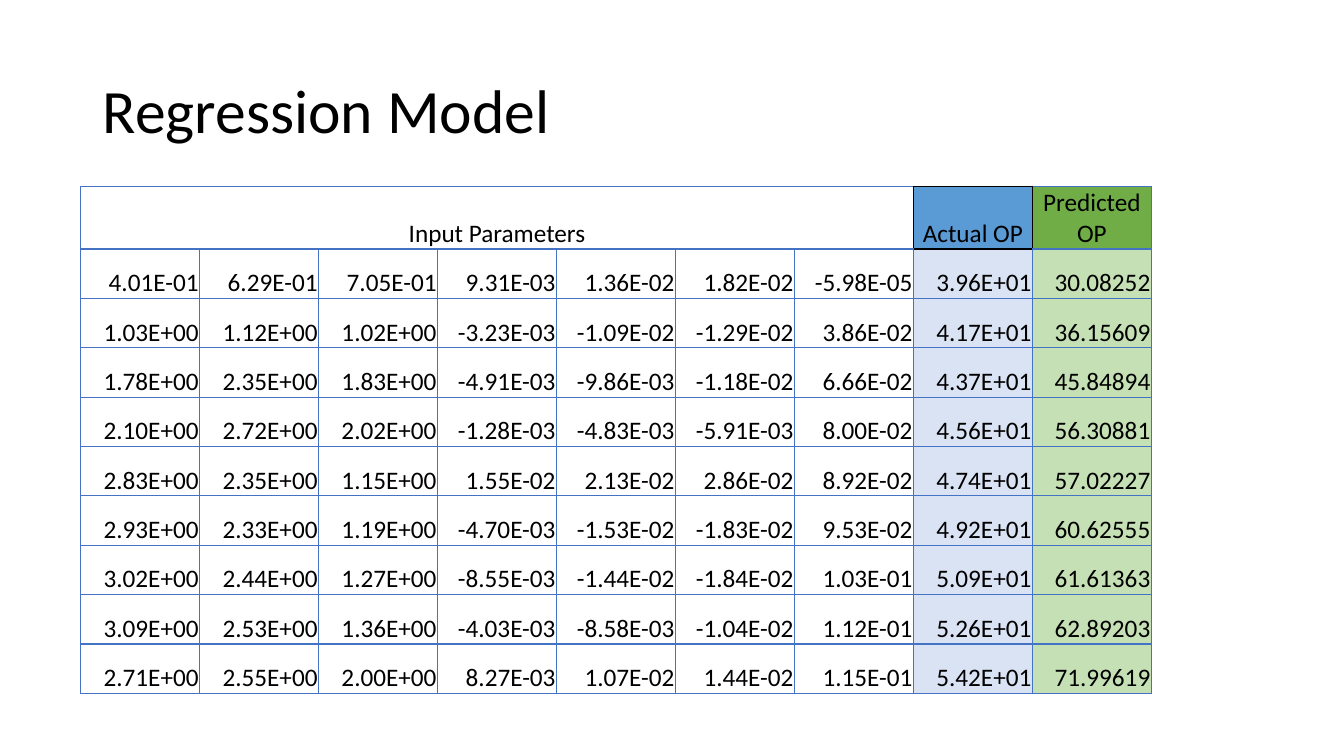
from dataclasses import dataclass

from lxml import etree
from pptx import Presentation
from pptx import util as u
from pptx.dml import color
from pptx.enum import text
from pptx.oxml import ns

PX = 9144
FONT = "Calibri"
COLORS = {
    "ink": "000000",
    "grid": "4472C4",
    "actual_head": "5B9BD5",
    "predicted_head": "70AD47",
    "actual": "DAE3F3",
    "predicted": "C5E0B4",
}
INPUTS = 7
COLUMN_WIDTH, HEADER_HEIGHT, SAMPLE_HEIGHT = 118, 48, 49
SAMPLES = [line.split() for line in """
4.01E-01 6.29E-01 7.05E-01 9.31E-03 1.36E-02 1.82E-02 -5.98E-05 3.96E+01 30.08252
1.03E+00 1.12E+00 1.02E+00 -3.23E-03 -1.09E-02 -1.29E-02 3.86E-02 4.17E+01 36.15609
1.78E+00 2.35E+00 1.83E+00 -4.91E-03 -9.86E-03 -1.18E-02 6.66E-02 4.37E+01 45.84894
2.10E+00 2.72E+00 2.02E+00 -1.28E-03 -4.83E-03 -5.91E-03 8.00E-02 4.56E+01 56.30881
2.83E+00 2.35E+00 1.15E+00 1.55E-02 2.13E-02 2.86E-02 8.92E-02 4.74E+01 57.02227
2.93E+00 2.33E+00 1.19E+00 -4.70E-03 -1.53E-02 -1.83E-02 9.53E-02 4.92E+01 60.62555
3.02E+00 2.44E+00 1.27E+00 -8.55E-03 -1.44E-02 -1.84E-02 1.03E-01 5.09E+01 61.61363
3.09E+00 2.53E+00 1.36E+00 -4.03E-03 -8.58E-03 -1.04E-02 1.12E-01 5.26E+01 62.89203
2.71E+00 2.55E+00 2.00E+00 8.27E-03 1.07E-02 1.44E-02 1.15E-01 5.42E+01 71.99619
""".strip().splitlines()]


@dataclass(frozen=True)
class Entry:
    label: str
    align: text.PP_ALIGN
    fill: str | None = None
    black_sides: str = ""


def px(length: int) -> u.Emu:
    return u.Emu(length * PX)


def rgb(name: str) -> color.RGBColor:
    return color.RGBColor.from_string(COLORS[name])


def style_paragraph(paragraph, size: int, align: text.PP_ALIGN) -> None:
    paragraph.alignment = align
    paragraph.font.name = FONT
    paragraph.font.size = u.Pt(size)
    paragraph.font.color.rgb = rgb("ink")


def draw_borders(cell, black_sides: str) -> None:
    properties = cell._tc.get_or_add_tcPr()
    for side in "LRTB":
        line = etree.SubElement(properties, ns.qn(f"a:ln{side}"), w=str(u.Pt(1)))
        solid = etree.SubElement(line, ns.qn("a:solidFill"))
        shade = COLORS["ink" if side in black_sides else "grid"]
        etree.SubElement(solid, ns.qn("a:srgbClr"), val=shade)


def draw_entry(cell, entry: Entry) -> None:
    cell.text = entry.label
    cell.vertical_anchor = text.MSO_ANCHOR.BOTTOM
    cell.margin_left = cell.margin_right = cell.margin_top = px(1)
    cell.margin_bottom = 0
    style_paragraph(cell.text_frame.paragraphs[0], 18, entry.align)
    draw_borders(cell, entry.black_sides)
    if entry.fill:
        cell.fill.solid()
        cell.fill.fore_color.rgb = rgb(entry.fill)
    else:
        cell.fill.background()


def header_entries() -> list[Entry]:
    center = text.PP_ALIGN.CENTER
    inputs = [Entry("Input Parameters" if i == 0 else "", center, None, "R" if i in (0, INPUTS - 1) else "")
              for i in range(INPUTS)]
    return inputs + [
        Entry("Actual OP", center, "actual_head", "LRTB"),
        Entry("Predicted OP", center, "predicted_head", "L"),
    ]


def sample_entries(values: list[str], first: bool) -> list[Entry]:
    fills = [None] * INPUTS + ["actual", "predicted"]
    return [Entry(value, text.PP_ALIGN.RIGHT, fill, "T" if first and fill == "actual" else "")
            for value, fill in zip(values, fills)]


def draw_title(slide) -> None:
    title = slide.shapes.title
    title.left, title.top, title.width, title.height = map(px, (92, 40, 1150, 145))
    title.text_frame.text = "Regression Model"
    title.text_frame.vertical_anchor = text.MSO_ANCHOR.MIDDLE
    heading = title.text_frame.paragraphs[0]
    heading.line_spacing = 0.9
    style_paragraph(heading, 44, text.PP_ALIGN.LEFT)


def draw_results(slide) -> None:
    rows = [header_entries()] + [sample_entries(values, i == 0) for i, values in enumerate(SAMPLES)]
    columns = INPUTS + 2
    results = slide.shapes.add_table(
        len(rows), columns, px(80), px(185), px(columns * COLUMN_WIDTH),
        px(HEADER_HEIGHT + len(SAMPLES) * SAMPLE_HEIGHT)).table
    results.first_row = results.horz_banding = False
    for column in results.columns:
        column.width = px(COLUMN_WIDTH)
    for r, entries in enumerate(rows):
        results.rows[r].height = px(SAMPLE_HEIGHT if r else HEADER_HEIGHT)
        for c, entry in enumerate(entries):
            draw_entry(results.cell(r, c), entry)
    results.cell(0, 0).merge(results.cell(0, INPUTS - 1))


def main() -> None:
    deck = Presentation()
    deck.slide_width, deck.slide_height = px(1333), px(750)
    slide = deck.slides.add_slide(deck.slide_layouts[5])
    draw_title(slide)
    draw_results(slide)
    deck.save("out.pptx")


if __name__ == "__main__":
    main()
